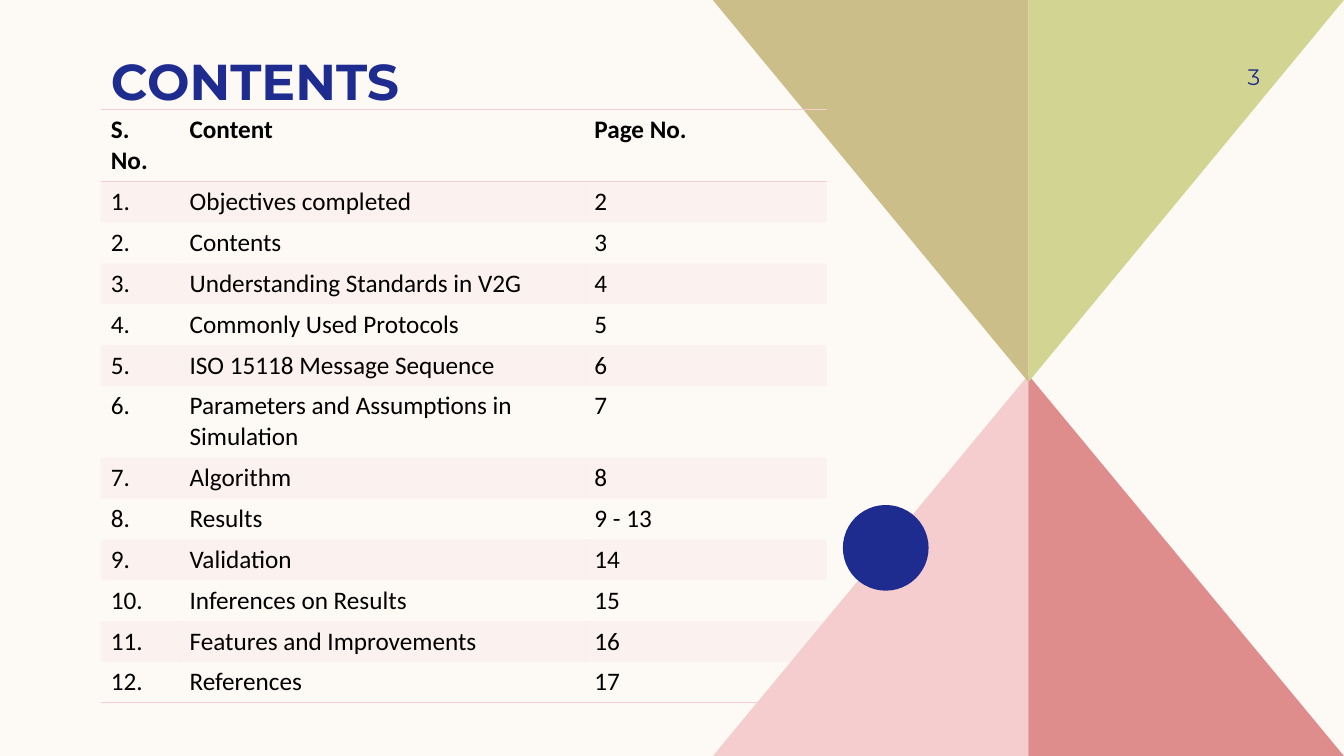
from lxml.etree import SubElement
from pptx import Presentation
from pptx.dml.color import RGBColor
from pptx.enum.shapes import MSO_SHAPE
from pptx.enum.text import MSO_ANCHOR, MSO_AUTO_SIZE, PP_ALIGN
from pptx.oxml import parse_xml
from pptx.oxml.ns import nsdecls, qn
from pptx.util import Inches, Pt

WIDTH, HEIGHT = 13.33, 7.5
COLORS = {
    "paper": "FDFAF6", "navy": "1F2C8F", "blush": "F5CDCE", "rose": "DE8C8C",
    "lime": "D2D592", "khaki": "CCBE89", "ink": "000000",
}
NO_GRID_STYLE = "{2D5ABB26-0587-4C30-8999-92F81FD0307C}"
COLUMN_WIDTHS = (0.78, 4.01, 2.4)
ROW_HEIGHT = 0.4
HEADINGS = ("S. No.", "Content", "Page No.")
CONTENTS = (
    ("Objectives completed", "2"),
    ("Contents", "3"),
    ("Understanding Standards in V2G", "4"),
    ("Commonly Used Protocols", "5"),
    ("ISO 15118 Message Sequence", "6"),
    ("Parameters and Assumptions in Simulation", "7"),
    ("Algorithm", "8"),
    ("Results", "9 - 13"),
    ("Validation", "14"),
    ("Inferences on Results", "15"),
    ("Features and Improvements", "16"),
    ("References", "17"),
)


def color(name):
    """Return the named palette colour."""
    return RGBColor.from_string(COLORS[name])


def paint(shape, name):
    """Give a shape a flat fill with no line or shadow."""
    shape.shadow.inherit = False
    shape.fill.solid()
    shape.fill.fore_color.rgb = color(name)
    shape.line.fill.background()


def write(frame, text, size, font, name, bold=False):
    """Add one formatted run to the first paragraph and return the paragraph."""
    para = frame.paragraphs[0]
    span = para.add_run()
    span.text = text
    span.font.size = Pt(size)
    span.font.name = font
    span.font.bold = bold
    span.font.color.rgb = color(name)
    return para


def add_triangle(page, points, name):
    """Draw a filled triangle through three points in inches."""
    start, *others = [(Inches(x), Inches(y)) for x, y in points]
    builder = page.shapes.build_freeform(*start)
    builder.add_line_segments(others, close=True)
    paint(builder.convert_to_shape(), name)


def add_hourglass(page, left, top, width, height):
    """Draw four triangles meeting mid-box and the dot beside them."""
    right, bottom = left + width, top + height
    middle = left + width / 2
    upper_tip, lower_tip = top + 3.79, top + 3.72
    for corner, edge, tip, name in (
        (left, bottom, lower_tip, "blush"),
        (right, bottom, lower_tip, "rose"),
        (right, top, upper_tip, "lime"),
        (left, top, upper_tip, "khaki"),
    ):
        add_triangle(page, [(middle, tip), (corner, edge), (middle, edge)], name)
    dot = page.shapes.add_shape(
        MSO_SHAPE.OVAL, Inches(left + 1.29), Inches(top + 5.01), Inches(0.85), Inches(0.85))
    paint(dot, "navy")


def add_title(page, left, top, width, height):
    """Place the title placeholder above the background art."""
    title = page.shapes.title
    title.left, title.top = Inches(left), Inches(top)
    title.width, title.height = Inches(width), Inches(height)
    page.shapes._spTree.append(title._element)
    frame = title.text_frame
    frame.auto_size = MSO_AUTO_SIZE.NONE
    frame.vertical_anchor = MSO_ANCHOR.BOTTOM
    frame.margin_top = frame.margin_bottom = 0
    write(frame, "CONTENTS", 36, "Montserrat", "navy", True).alignment = PP_ALIGN.LEFT


def add_rules(cell, sides):
    """Draw one-point rules on the given sides of a cell."""
    properties = cell._tc.get_or_add_tcPr()
    for place, side in enumerate(sides):
        properties.insert(place, parse_xml(
            f'<a:ln{side} {nsdecls("a")} w="12700"><a:solidFill>'
            f'<a:srgbClr val="{COLORS["blush"]}"/></a:solidFill></a:ln{side}>'))


def tint(cell, banded):
    """Give a banded cell a translucent fill and any other cell none."""
    if not banded:
        cell.fill.background()
        return
    cell.fill.solid()
    cell.fill.fore_color.rgb = color("blush")
    shade = cell._tc.tcPr.find(".//" + qn("a:srgbClr"))
    SubElement(shade, qn("a:alpha"), val="20000")


def add_contents_table(page, left, top, width):
    """Build the ruled, banded table of contents."""
    rows = [HEADINGS] + [
        (f"{number}.", *entry) for number, entry in enumerate(CONTENTS, 1)]
    table = page.shapes.add_table(
        len(rows), len(HEADINGS), Inches(left), Inches(top),
        Inches(width), Inches(ROW_HEIGHT * len(rows))).table
    table.horz_banding = False
    table._tbl.tblPr.find(qn("a:tableStyleId")).text = NO_GRID_STYLE
    for column, share in zip(table.columns, COLUMN_WIDTHS):
        column.width = Inches(width * share / sum(COLUMN_WIDTHS))
    sides = {0: "TB", len(rows) - 1: "B"}
    for index, texts in enumerate(rows):
        table.rows[index].height = Inches(ROW_HEIGHT)
        for cell, text in zip(table.rows[index].cells, texts):
            write(cell.text_frame, text, 18, "Calibri", "ink", index == 0)
            tint(cell, index % 2 == 1)
            add_rules(cell, sides.get(index, ""))


def add_page_number(page, left, top, width, height):
    """Place the page number, right-aligned."""
    box = page.shapes.add_textbox(Inches(left), Inches(top), Inches(width), Inches(height))
    frame = box.text_frame
    frame.word_wrap = True
    frame.vertical_anchor = MSO_ANCHOR.MIDDLE
    frame.margin_right = 0
    write(frame, "3", 16, "Montserrat", "navy").alignment = PP_ALIGN.RIGHT


def main():
    """Build and save the contents slide."""
    deck = Presentation()
    deck.slide_width, deck.slide_height = Inches(WIDTH), Inches(HEIGHT)
    page = deck.slides.add_slide(deck.slide_layouts[5])
    page.background.fill.solid()
    page.background.fill.fore_color.rgb = color("paper")
    add_hourglass(page, 7.07, 0, WIDTH - 7.07, HEIGHT)
    add_title(page, 1, 0.42, 7.2, 0.68)
    add_contents_table(page, 1, 1.09, 7.2)
    add_page_number(page, 11.33, 0.5, 1.17, 0.52)
    deck.save("out.pptx")


if __name__ == "__main__":
    main()
